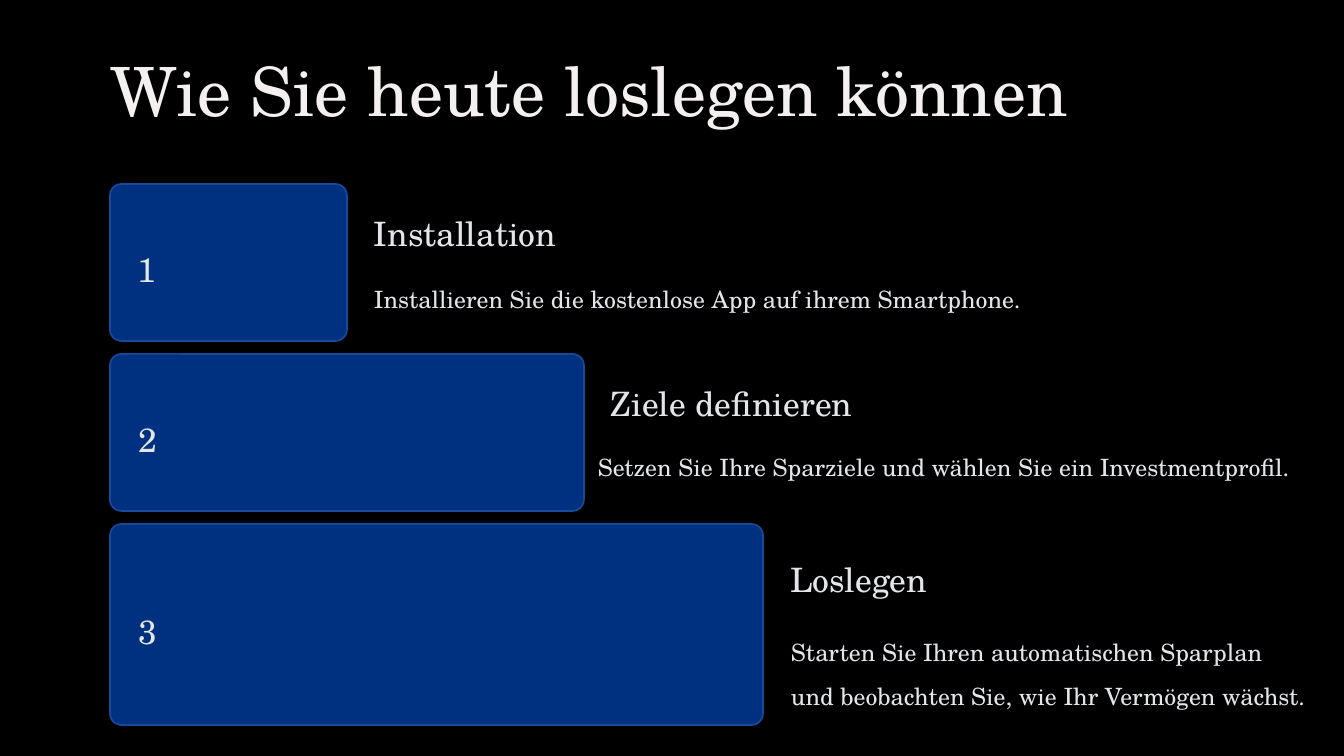
from pptx import Presentation
from pptx.dml.color import RGBColor
from pptx.enum.shapes import MSO_SHAPE
from pptx.enum.text import MSO_ANCHOR, MSO_AUTO_SIZE, PP_ALIGN
from pptx.util import Emu, Pt

ROUNDED = MSO_SHAPE.ROUNDED_RECTANGLE
TOP = MSO_ANCHOR.TOP
NO_AUTOFIT = MSO_AUTO_SIZE.NONE
LEFT, CENTER = PP_ALIGN.LEFT, PP_ALIGN.CENTER

EMU_PER_PX = 914400 / 100.8
SLIDE_WIDTH, SLIDE_HEIGHT = 1344, 756
FONT = "TeX Gyre Schola"
BACKGROUND, TITLE_COLOR, TEXT_COLOR = "000000", "F5F0F0", "E2E6E9"
BAR_FILL, BAR_LINE = "003180", "194A99"

BAR_LEFT, FIRST_BAR_TOP, BAR_GAP = 110, 184, 13
CORNER_RADIUS = 11.5
NUMBER_INDENT, NUMBER_HEIGHT = 28, 54
HEADING_GAP, HEADING_WIDTH, HEADING_HEIGHT = 27, 340, 42
LINE_HEIGHT = 43

# Bar width and height, number width, heading offset,
# body gap and offset, heading, body lines
STEPS = [
    (237, 157, 15, 27, 27, 86, "Installation",
     ["Installieren Sie die kostenlose App auf ihrem Smartphone."]),
    (474, 157, 20, 27, 14, 84, "Ziele definieren",
     ["Setzen Sie Ihre Sparziele und wählen Sie ein Investmentprofil."]),
    (653, 201, 19, 33, 28, 99, "Loslegen",
     ["Starten Sie Ihren automatischen Sparplan",
      "und beobachten Sie, wie Ihr Vermögen wächst."]),
]


def px(length):
    return Emu(round(length * EMU_PER_PX))


def color(hex_string):
    return RGBColor.from_string(hex_string)


def write_text(shape, text, size, line_spacing, text_color=TEXT_COLOR, alignment=LEFT):
    frame = shape.text_frame
    frame.text = text
    frame.word_wrap = True
    frame.auto_size = NO_AUTOFIT
    frame.vertical_anchor = TOP
    frame.margin_left = frame.margin_right = 0
    frame.margin_top = frame.margin_bottom = 0
    for paragraph in frame.paragraphs:
        paragraph.alignment = alignment
        paragraph.line_spacing = Pt(line_spacing)
        paragraph.space_before = Pt(0)
        for run in paragraph.runs:
            run.font.name = FONT
            run.font.size = Pt(size)
            run.font.color.rgb = color(text_color)


def add_title(slide, text):
    title = slide.shapes.title
    title.left, title.top = px(110), px(45)
    title.width, title.height = px(1018), px(85)
    write_text(title, text, 48.5, 60.5, TITLE_COLOR)


def add_text(slide, left, top, width, height, text, size, line_spacing, alignment=LEFT):
    box = slide.shapes.add_textbox(px(left), px(top), px(width), px(height))
    write_text(box, text, size, line_spacing, alignment=alignment)


def add_bar(slide, top, width, height):
    bar = slide.shapes.add_shape(ROUNDED, px(BAR_LEFT), px(top), px(width), px(height))
    bar.adjustments[0] = round(CORNER_RADIUS / min(width, height), 3)
    bar.shadow.inherit = False
    bar.fill.solid()
    bar.fill.fore_color.rgb = color(BAR_FILL)
    bar.line.color.rgb = color(BAR_LINE)
    bar.line.width = Pt(1.2)


def add_step(slide, number, top, step):
    (width, height, number_width, heading_offset,
     body_gap, body_offset, heading, lines) = step
    bar_right = BAR_LEFT + width
    add_bar(slide, top, width, height)
    # Number, vertically centred on its bar
    add_text(slide, BAR_LEFT + NUMBER_INDENT, top + (height - NUMBER_HEIGHT) / 2,
             number_width, NUMBER_HEIGHT, str(number), 24, 38.5, CENTER)
    # Heading and body to the right of the bar
    add_text(slide, bar_right + HEADING_GAP, top + heading_offset,
             HEADING_WIDTH, HEADING_HEIGHT, heading, 24, 30)
    body_left = bar_right + body_gap
    add_text(slide, body_left, top + body_offset, SLIDE_WIDTH - body_left,
             LINE_HEIGHT * len(lines), "\n".join(lines), 17, 31)


def main():
    presentation = Presentation()
    presentation.slide_width = px(SLIDE_WIDTH)
    presentation.slide_height = px(SLIDE_HEIGHT)
    slide = presentation.slides.add_slide(presentation.slide_layouts[5])
    slide.background.fill.solid()
    slide.background.fill.fore_color.rgb = color(BACKGROUND)

    add_title(slide, "Wie Sie heute loslegen können")

    # Steps, stacked with equal gaps
    top = FIRST_BAR_TOP
    for number, step in enumerate(STEPS, start=1):
        add_step(slide, number, top, step)
        top += step[1] + BAR_GAP

    presentation.save("out.pptx")


if __name__ == "__main__":
    main()
